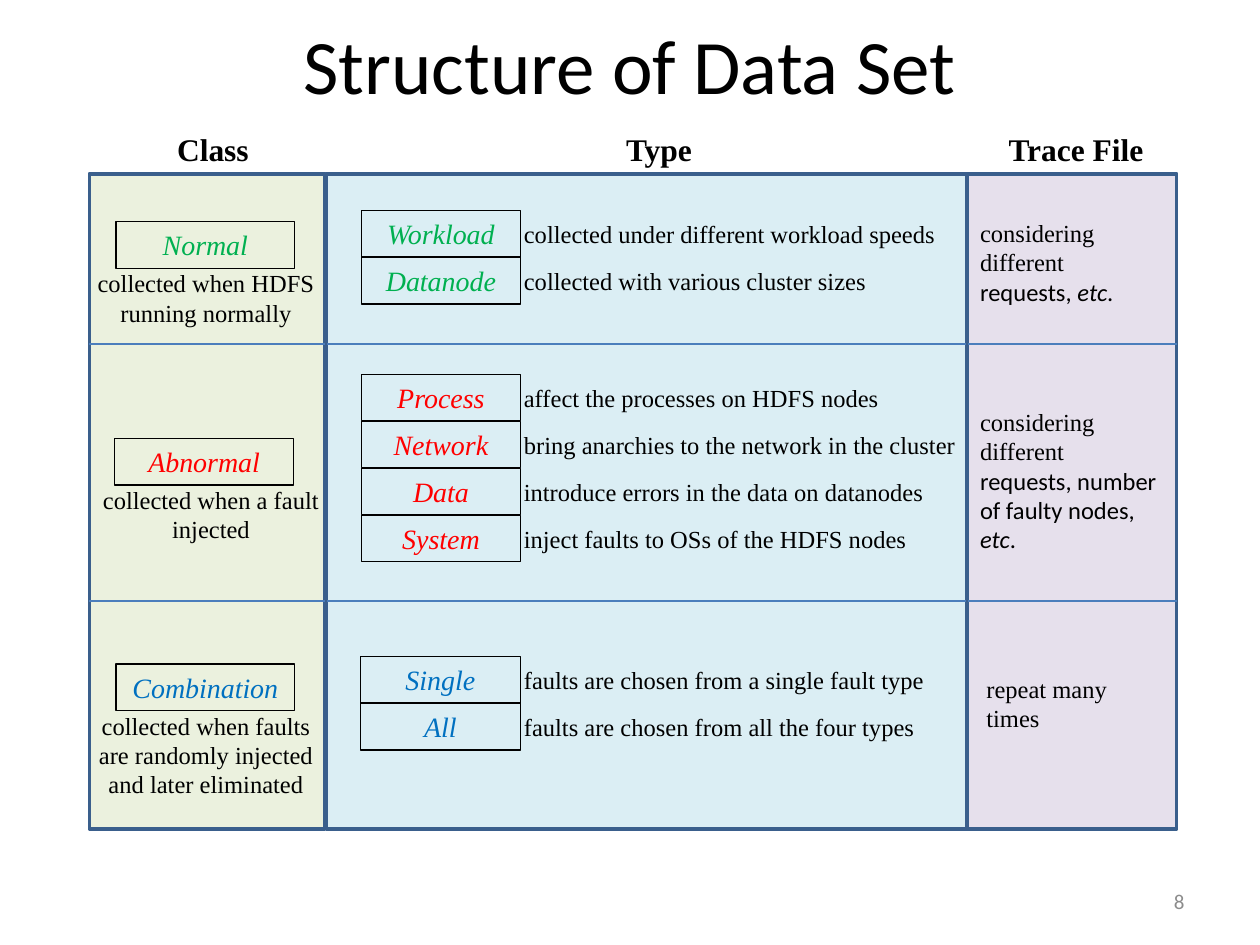
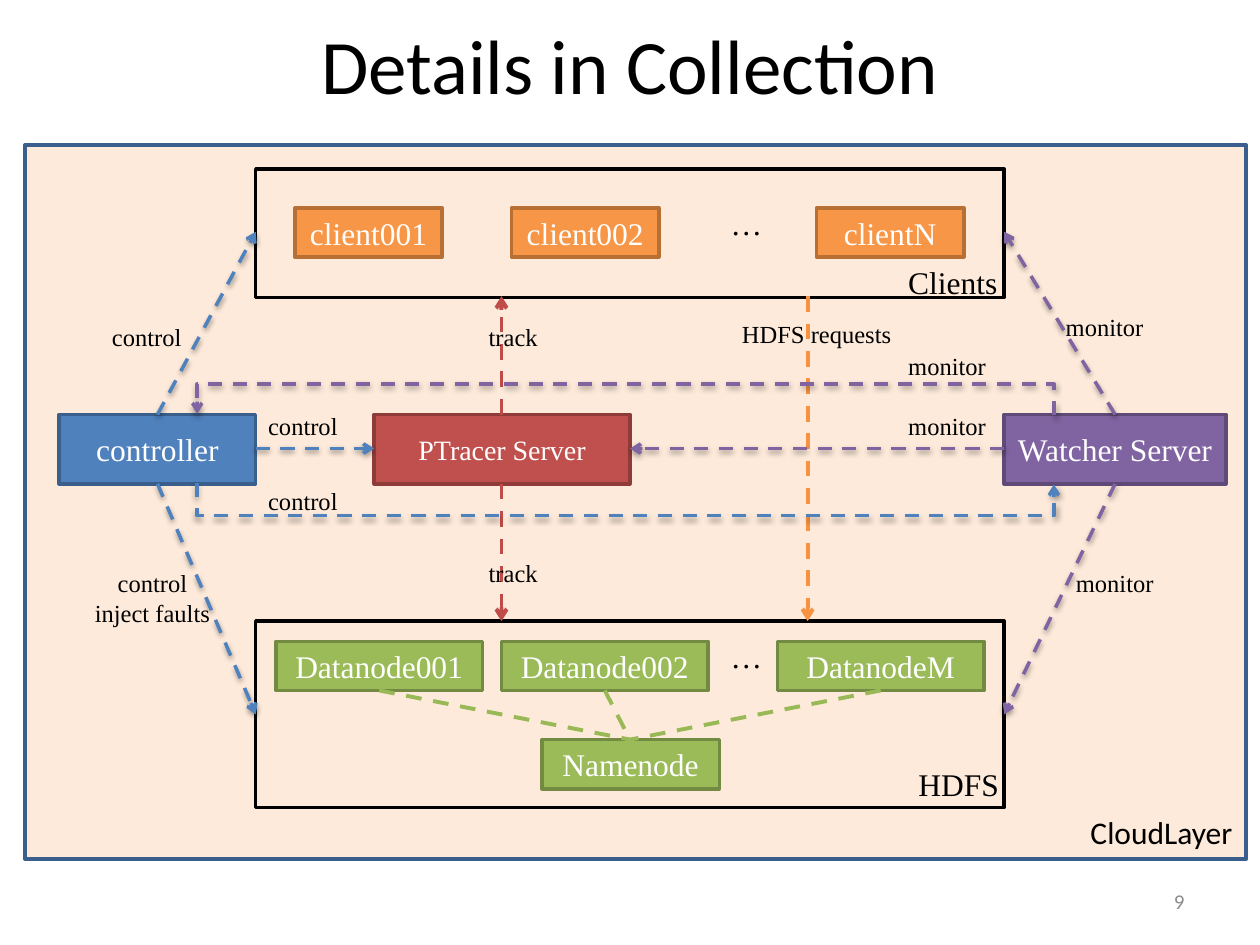
from lxml import etree
from pptx import Presentation
from pptx.dml.color import RGBColor
from pptx.enum.dml import MSO_LINE
from pptx.enum.shapes import MSO_CONNECTOR, MSO_SHAPE
from pptx.enum.text import MSO_ANCHOR, PP_ALIGN
from pptx.oxml.ns import qn
from pptx.util import Inches, Pt

RECT = MSO_SHAPE.RECTANGLE
LINE, BENT = MSO_CONNECTOR.STRAIGHT, MSO_CONNECTOR.ELBOW
DASH = MSO_LINE.DASH
LEFT, MID, RIGHT = PP_ALIGN.LEFT, PP_ALIGN.CENTER, PP_ALIGN.RIGHT
TOP, CORE, LOW = MSO_ANCHOR.TOP, MSO_ANCHOR.MIDDLE, MSO_ANCHOR.BOTTOM

SERIF, SANS = "Times New Roman", "Calibri"
BLACK, WHITE, GREY = "000000", "FFFFFF", "8C8C8C"
NAVY, RULE = "3A5F8C", "4B7EBC"
GREEN, RED, BLUE = "00B050", "FF0000", "0070C0"
STEEL, PLUM = "4F81BD", "8064A2"

tone = RGBColor.from_string


def box(at, text="", fill=None, edge=None, thick=2, color=BLACK, align=MID,
        anchor=TOP, wrap=True, **font):
    spot = [Inches(v) for v in at]
    if fill or edge:
        item = slide.shapes.add_shape(RECT, *spot)
        item.shadow.inherit = False
        if fill:
            item.fill.solid()
            item.fill.fore_color.rgb = tone(fill)
        else:
            item.fill.background()
        item.line.color.rgb = tone(edge)
        item.line.width = Pt(thick)
    else:
        item = slide.shapes.add_textbox(*spot)
    frame = item.text_frame
    for key, val in {"word_wrap": wrap, "vertical_anchor": anchor}.items():
        setattr(frame, key, val)
    if text:
        frame.text = text
    look = {"name": SERIF, "size": 14, **font}
    look["size"] = Pt(look["size"])
    for para in frame.paragraphs:
        para.alignment = align
        for run in para.runs:
            run.font.color.rgb = tone(color)
            for key, val in look.items():
                setattr(run.font, key, val)
    return item


def link(ends, color, thick=2, dash=True, arrow=True, shade=True, kind=LINE):
    item = slide.shapes.add_connector(kind, *[Inches(v) for v in ends])
    item.line.color.rgb = tone(color)
    item.line.width = Pt(thick)
    if dash:
        item.line.dash_style = DASH
    props = item._element.spPr
    if arrow:
        etree.SubElement(props.find(qn("a:ln")), qn("a:tailEnd"), type="arrow")
    effects = etree.SubElement(props, qn("a:effectLst"))
    if shade:
        cast = etree.SubElement(effects, qn("a:outerShdw"), blurRad="40000",
                                dist="20000", dir="5400000", rotWithShape="0")
        ink = etree.SubElement(cast, qn("a:srgbClr"), val=BLACK)
        etree.SubElement(ink, qn("a:alpha"), val="38000")
    return item


deck = Presentation()
deck.slide_width, deck.slide_height = Inches(10), Inches(7.5)
blank = deck.slide_layouts[6]
pages = []
for title, page in [("Structure of Data Set", "8"), ("Details in Collection", "9")]:
    slide = deck.slides.add_slide(blank)
    pages.append(slide)
    box((0, 0, 10, 0.92), title, anchor=LOW, name=SANS, size=44)
    box((7.17, 6.95, 2.33, 0.4), page, color=GREY, align=RIGHT, anchor=CORE,
        name=SANS, size=12)

slide = pages[0]
columns = [
    ("Trace File", 7.68, 1.66, "E6E0EC", 7.83),
    ("Type", 2.59, 5.08, "DBEEF4", 4.52),
    ("Class", 0.71, 1.87, "EBF1DE", 0.98),
]
for head, left, width, fill, place in columns:
    box((left, 1.38, width, 5.2), fill=fill, edge=NAVY)
    box((place, 0.98, 1.42, 0.4), head, size=18, bold=True)
    for y in (2.73, 4.77):
        link((left, y, left + width, y), RULE, 0.75, False, False, False)

classes = [
    ("Normal", GREEN, 0.92, 1.76, 0.59, "collected when HDFS running normally",
     2.87, 1.67, [
         ("Workload", "collected under different workload speeds"),
         ("Datanode", "collected with various cluster sizes")]),
    ("Abnormal", RED, 0.91, 3.48, 0.63, "collected when a fault injected",
     2.87, 2.97, [
         ("Process", "affect the processes on HDFS nodes"),
         ("Network", "bring anarchies to the network in the cluster"),
         ("Data", "introduce errors in the data on datanodes"),
         ("System", "inject faults to OSs of the HDFS nodes")]),
    ("Combination", BLUE, 0.92, 5.27, 0.59,
     "collected when faults are randomly injected and later eliminated",
     2.86, 5.21, [
         ("Single", "faults are chosen from a single fault type"),
         ("All", "faults are chosen from all the four types")]),
]
for name, color, left, top, note, about, side, first, types in classes:
    tag = {"edge": BLACK, "thick": 0.75, "color": color, "size": 16, "italic": True}
    box((left, top, 1.42, 0.37), name, **tag)
    box((note, top + 0.32, 2.09, 0.57), about)
    for i, (kind, text) in enumerate(types):
        y = first + 0.373 * i
        box((side, y, 4.13 - side, 0.37), kind, **tag)
        box((4.06, y + 0.02, 3.7, 0.34), text, align=LEFT)

for top, high, tail in [(1.68, 0.81, "requests, "),
                        (3.18, 1.04, "requests, number of faulty nodes, ")]:
    cell = box((7.68, top, 1.61, high), "considering different ", align=LEFT)
    for text, slant in [(tail, False), ("etc", True), (".", False)]:
        run = cell.text_frame.paragraphs[0].add_run()
        run.text = text
        run.font.color.rgb = tone(BLACK)
        for key, val in {"name": SANS, "size": Pt(14), "italic": slant}.items():
            setattr(run.font, key, val)
box((7.73, 5.3, 1.61, 0.57), "repeat many times", align=LEFT)

slide = pages[1]
box((0.2, 1.15, 9.69, 5.67), fill="FDEADA", edge=NAVY)
box((8.23, 6.4, 1.65, 0.4), "CloudLayer", align=RIGHT, name=SANS, size=18)

groups = [
    ("Clients", 7.11, 2.04, 1.34, 1.02, 1.65, 1.17, "F79646", "B76F34",
     [("client001", 2.34), ("client002", 4.06), ("clientN", 6.48)]),
    ("HDFS", 7.19, 6.02, 4.93, 1.48, 5.09, 1.64, "9BBB59", "738A42",
     [("Datanode001", 2.19), ("Datanode002", 3.98), ("DatanodeM", 6.17)]),
]
for name, left, low, top, high, row, width, fill, edge, nodes in groups:
    for node, x in nodes:
        box((x, row, width, 0.39), node, fill, edge, color=WHITE, anchor=CORE, size=18)
    box((5.7, row - 0.08, 0.45, 0.4), "…", align=LEFT, wrap=False, size=18)
    box((2.03, top, 5.94, high), edge=BLACK)
    box((left, low, 1.1, 0.4), name, align=LEFT, size=18)

box((4.3, 5.87, 1.41, 0.39), "Namenode", fill, edge, color=WHITE, anchor=CORE, size=18)
for node, x in nodes:
    link((x + width / 2, 5.48, 5, 5.87), "98B955", 2.25, arrow=False, shade=False)

for name, left, width, fill, edge, size in [
        ("PTracer Server", 2.97, 2.03, "C0504D", "8E3B39", 16),
        ("controller", 0.47, 1.56, STEEL, NAVY, 18),
        ("Watcher Server", 7.97, 1.76, PLUM, "5F4A78", 18)]:
    box((left, 3.29, width, 0.55), name, fill, edge, color=WHITE, anchor=CORE, size=size)

for ends, color in [((6.41, 2.35, 6.41, 4.93), "F69240"),
                    ((3.98, 3.29, 3.98, 2.35), "BF4C48"),
                    ((3.98, 3.84, 3.98, 4.93), "BF4C48")]:
    link(ends, color, 2.25, shade=False)

for start, end, inner, color in [(1.25, 2.03, (2.03, 2.97), STEEL),
                                 (8.85, 7.97, (7.97, 5), PLUM)]:
    link((start, 3.29, end, 1.84), color)
    link((start, 3.84, end, 5.67), color)
    link((inner[0], 3.56, inner[1], 3.56), color)

for ends, color, bend in [((4.97, 0.44, 4.96, 7.24), STEEL, 2600000),
                          ((4.96, 6.69, 4.97, -0.11), PLUM, 2500000)]:
    props = link(ends, color, kind=BENT)._element.spPr
    props.find(qn("a:xfrm")).set("rot", "16200000")
    shape = props.find(qn("a:prstGeom"))
    marks = shape.find(qn("a:avLst"))
    if marks is None:
        marks = etree.SubElement(shape, qn("a:avLst"))
    etree.SubElement(marks, qn("a:gd"), name="adj1", fmla=f"val {bend}")

for text, left, top, width in [
        ("HDFS requests", 5.79, 2.48, 1.4),
        ("track", 3.78, 2.51, 0.59), ("track", 3.78, 4.38, 0.59),
        ("control", 0.79, 2.51, 0.77), ("control", 2.03, 3.21, 0.77),
        ("control", 2.03, 3.81, 0.77), ("monitor", 8.36, 2.43, 0.85),
        ("monitor", 8.44, 4.46, 0.85), ("monitor", 7.11, 3.21, 0.85),
        ("monitor", 7.11, 2.74, 0.85)]:
    box((left, top, width, 0.34), text, align=LEFT, wrap=False)
box((0.65, 4.46, 1.12, 0.57), "control\ninject faults", wrap=False)

deck.save("out.pptx")
